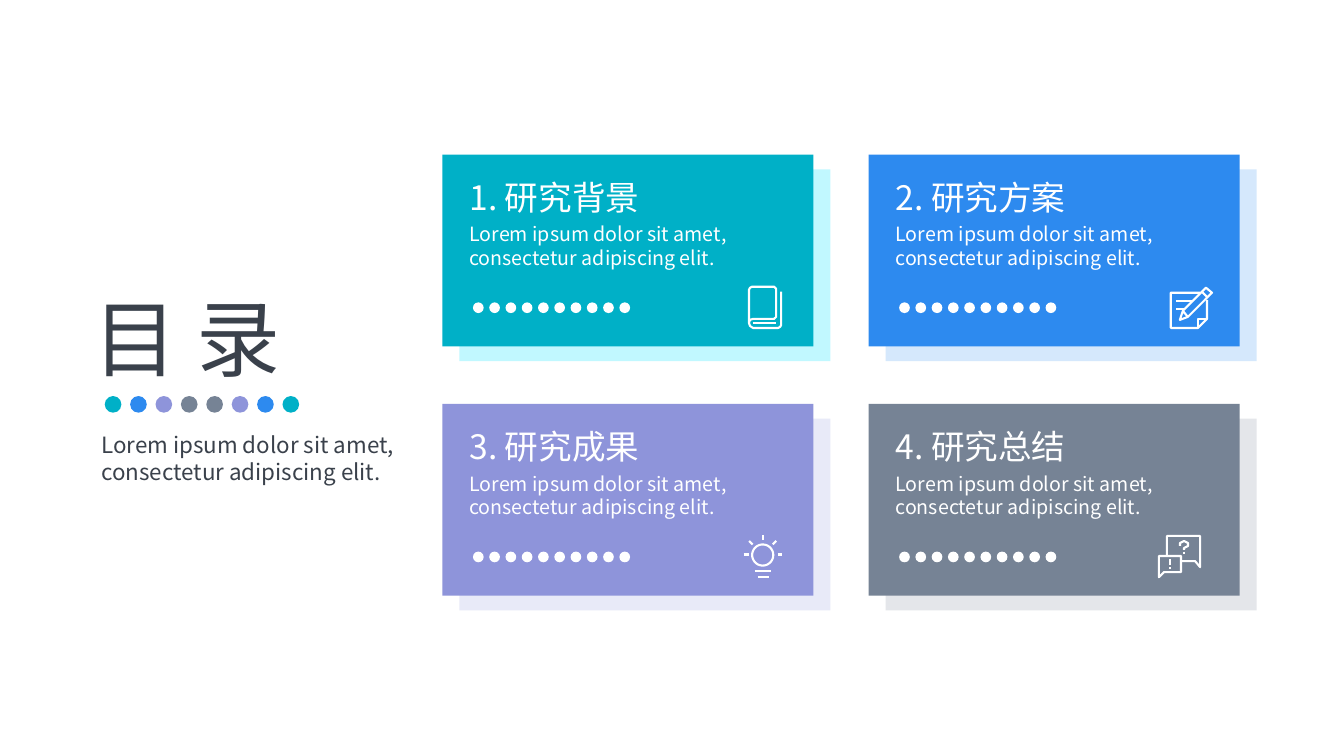
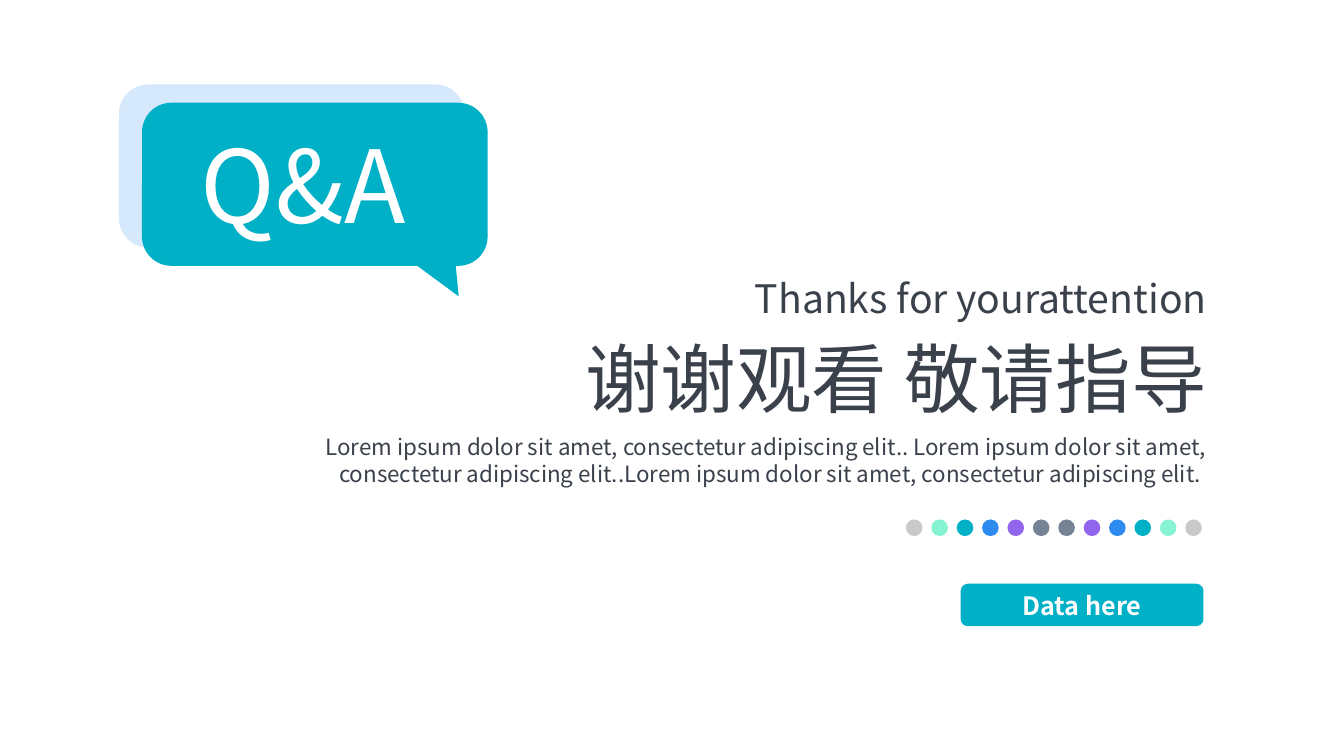
from math import cos, pi, sin

from lxml import etree
from pptx import Presentation, util as u
from pptx.dml.color import RGBColor
from pptx.enum import shapes, text
from pptx.oxml.ns import qn

FONT = "Noto Sans CJK SC"
TEAL, BLUE, LILAC, SLATE = "00B0C7", "2D8AEF", "8E94DA", "768395"
VIOLET, MINT, SILVER = "9266EC", "86F3D2", "C9C9C9"
INK, WHITE, PALE_BLUE = "3A414B", "FFFFFF", "D5E8FC"
SENTENCE = "Lorem ipsum dolor sit amet, consectetur adipiscing elit."

OVAL = shapes.MSO_SHAPE.OVAL
RECTANGLE = shapes.MSO_SHAPE.RECTANGLE
ROUNDED = shapes.MSO_SHAPE.ROUNDED_RECTANGLE
TRIANGLE = shapes.MSO_SHAPE.ISOSCELES_TRIANGLE
LEFT, CENTER, RIGHT = text.PP_ALIGN.LEFT, text.PP_ALIGN.CENTER, text.PP_ALIGN.RIGHT
GROWING = {"word_wrap": True, "auto_size": text.MSO_AUTO_SIZE.SHAPE_TO_FIT_TEXT}
CENTRED = {"word_wrap": True, "vertical_anchor": text.MSO_ANCHOR.MIDDLE}
DOT, DOT_STEP = 0.42, 0.64


def draw(slide, kind, box, color):
    """Add a plain filled shape; box is left, top, width, height in cm."""
    shape = slide.shapes.add_shape(kind, *map(u.Cm, box))
    shape.shadow.inherit = False
    shape.fill.solid()
    shape.fill.fore_color.rgb = RGBColor.from_string(color)
    shape.line.fill.background()
    return shape


def write(shape, words, size, color, align=LEFT, bold=False, frame_format=GROWING):
    frame = shape.text_frame
    for key, value in frame_format.items():
        setattr(frame, key, value)
    paragraph = frame.paragraphs[0]
    paragraph.alignment = align
    run = paragraph.add_run()
    run.text = words
    for key, value in {"name": FONT, "size": u.Pt(size), "bold": bold}.items():
        setattr(run.font, key, value)
    run.font.color.rgb = RGBColor.from_string(color)
    east_asian = etree.SubElement(run.font._element, qn("a:ea"))
    east_asian.set("typeface", FONT)


deck = Presentation()
deck.slide_width, deck.slide_height = u.Cm(33.87), u.Cm(19.05)
blank = deck.slide_layouts[6]

# Contents: heading on the left
contents = deck.slides.add_slide(blank)
for box, words, size in [
    ((2.11, 7.09, 7.32, 2.82), "目 录", 60),
    ((2.31, 10.74, 8.48, 1.63), SENTENCE, 16),
]:
    write(contents.shapes.add_textbox(*map(u.Cm, box)), words, size, INK)

half_row = [TEAL, BLUE, LILAC, SLATE]
for i, color in enumerate(half_row + half_row[::-1]):
    draw(contents, OVAL, (2.64 + i * DOT_STEP, 9.98, DOT, DOT), color)

# Icons as strokes on a grid of 43 units
ICON_UNIT = u.Cm(1.09) / 43
book = [
    [(1, 37), (1, 4), (2, 2), (4, 1), (26, 1), (28, 3), (28, 31), (26, 33), (5, 33),
     (2, 34), (1, 37), (2, 40), (5, 42), (30, 42), (32, 41), (33, 39), (33, 6)],
    [(5, 37.5), (28, 37.5)],
]
note_and_pencil = [
    [(30, 7), (1, 7), (1, 42), (28, 42), (37, 33), (37, 14)],
    [(28, 42), (28, 33), (37, 33)],
    [(6, 15), (22, 15)],
    [(6, 23), (15, 23)],
    [(13, 25), (36, 2), (42, 7), (18, 31), (10, 34), (13, 25), (18, 31)],
    [(32, 6), (37, 11)],
]
bulb = [
    [(19 + 10.5 * cos(i * pi / 20), 20 + 10.5 * sin(i * pi / 20)) for i in range(41)],
    [(11, 36), (27, 36)],
    [(14, 41.5), (25, 41.5)],
    [(19, 0), (19, 5)],
    [(5.5, 6), (9, 9.5)],
    [(32.5, 6), (29, 9.5)],
    [(0, 19.5), (5, 19.5)],
    [(34, 19.5), (38, 19.5)],
]
questions = [
    [(9, 20), (9, 1), (42, 1), (42, 32), (37, 26), (24, 26)],
    [(1, 42), (1, 21), (23, 21), (23, 37), (6, 37), (1, 42)],
    [(12, 24), (12, 30)],
    [(12, 32), (12, 34)],
    [(22, 11), (22, 8), (26, 6), (30, 8), (30, 11), (26, 13), (26, 15)],
    [(26, 16.5), (26, 18.5)],
]

# Contents: two by two cards
CARD_W, CARD_H = 9.35, 4.83
cards = [
    ("1. 研究背景", TEAL, "C1F8FF", book, 7.7),
    ("2. 研究方案", BLUE, PALE_BLUE, note_and_pencil, 7.59),
    ("3. 研究成果", LILAC, "E8EAF8", bulb, 7.59),
    ("4. 研究总结", SLATE, "E4E6EA", questions, 7.29),
]
for i, (heading, color, pale, icon, icon_left) in enumerate(cards):
    row, column = divmod(i, 2)
    x, y = 11.15 + column * 10.74, 3.9 + row * 6.28
    draw(contents, RECTANGLE, (x + 0.43, y + 0.37, CARD_W, CARD_H), pale)
    draw(contents, RECTANGLE, (x, y, CARD_W, CARD_H), color)
    for box, words, size in [
        ((x + 0.43, y + 0.43, 5.31, 1.27), heading, 24),
        ((x + 0.43, y + 1.58, 8.79, 1.45), SENTENCE, 14),
    ]:
        write(contents.shapes.add_textbox(*map(u.Cm, box)), words, size, WHITE)
    for dot in range(10):
        draw(contents, OVAL, (x + 0.77 + dot * 0.41, y + 3.72, 0.27, 0.27), WHITE)

    strokes = [[(px * ICON_UNIT, py * ICON_UNIT) for px, py in stroke] for stroke in icon]
    builder = contents.shapes.build_freeform(*strokes[0][0])
    builder.add_line_segments(strokes[0][1:], close=False)
    for start, *rest in strokes[1:]:
        builder.move_to(*start)
        builder.add_line_segments(rest, close=False)
    outline = builder.convert_to_shape(u.Cm(x + icon_left), u.Cm(y + 3.3))
    outline.shadow.inherit = False
    outline.fill.background()
    outline.line.color.rgb = RGBColor.from_string(WHITE)
    outline.line.width = u.Pt(1.5)

# Closing: speech bubble with its pale double behind
closing = deck.slides.add_slide(blank)
for x, y, color in [(3, 2.13, PALE_BLUE), (3.58, 2.59, TEAL)]:
    bubble = draw(closing, ROUNDED, (x, y, 8.71, 4.11), color)
    bubble.adjustments[0] = 0.18
    tail = draw(closing, TRIANGLE, (x + 6.66, y + 3.1, 1.7, 1.9), color)
    tail.rotation = 150.5

for box, words, size, color, align in [
    ((3.4, 2.97, 8.48, 3.33), "Q&A", 72, WHITE, CENTER),
    ((16.76, 6.78, 13.9, 1.45), "Thanks for yourattention", 28, INK, RIGHT),
    ((13.54, 8.23, 17.12, 2.57), "谢谢观看 敬请指导", 54, INK, RIGHT),
    ((5.54, 10.8, 25.12, 1.63), f"{SENTENCE}. {SENTENCE}.{SENTENCE} ", 16, INK, RIGHT),
]:
    write(closing.shapes.add_textbox(*map(u.Cm, box)), words, size, color, align)

half_row = [SILVER, MINT, TEAL, BLUE, VIOLET, SLATE]
for i, color in enumerate(half_row + half_row[::-1]):
    draw(closing, OVAL, (22.83 + i * DOT_STEP, 13.09, DOT, DOT), color)

button = draw(closing, ROUNDED, (24.21, 14.71, 6.12, 1.07), TEAL)
write(button, "Data here", 18, WHITE, CENTER, bold=True, frame_format=CENTRED)

deck.save("out.pptx")
